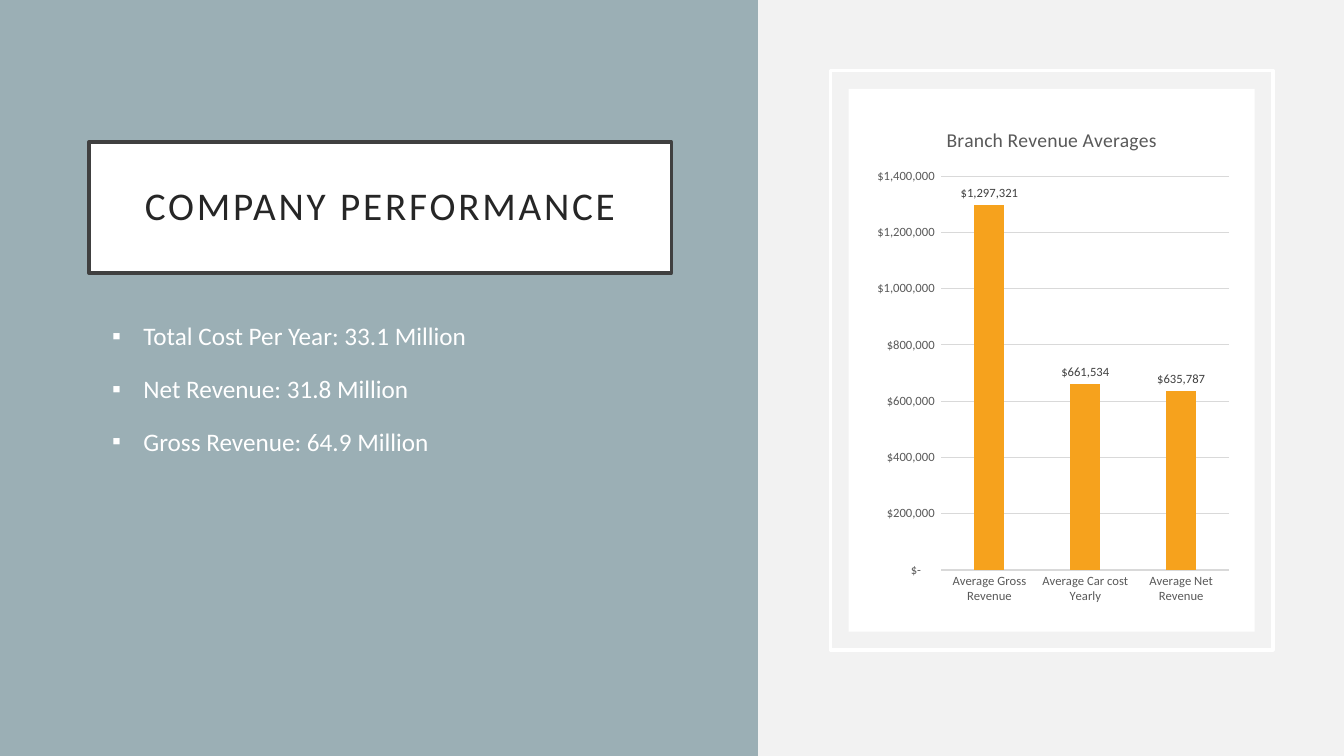
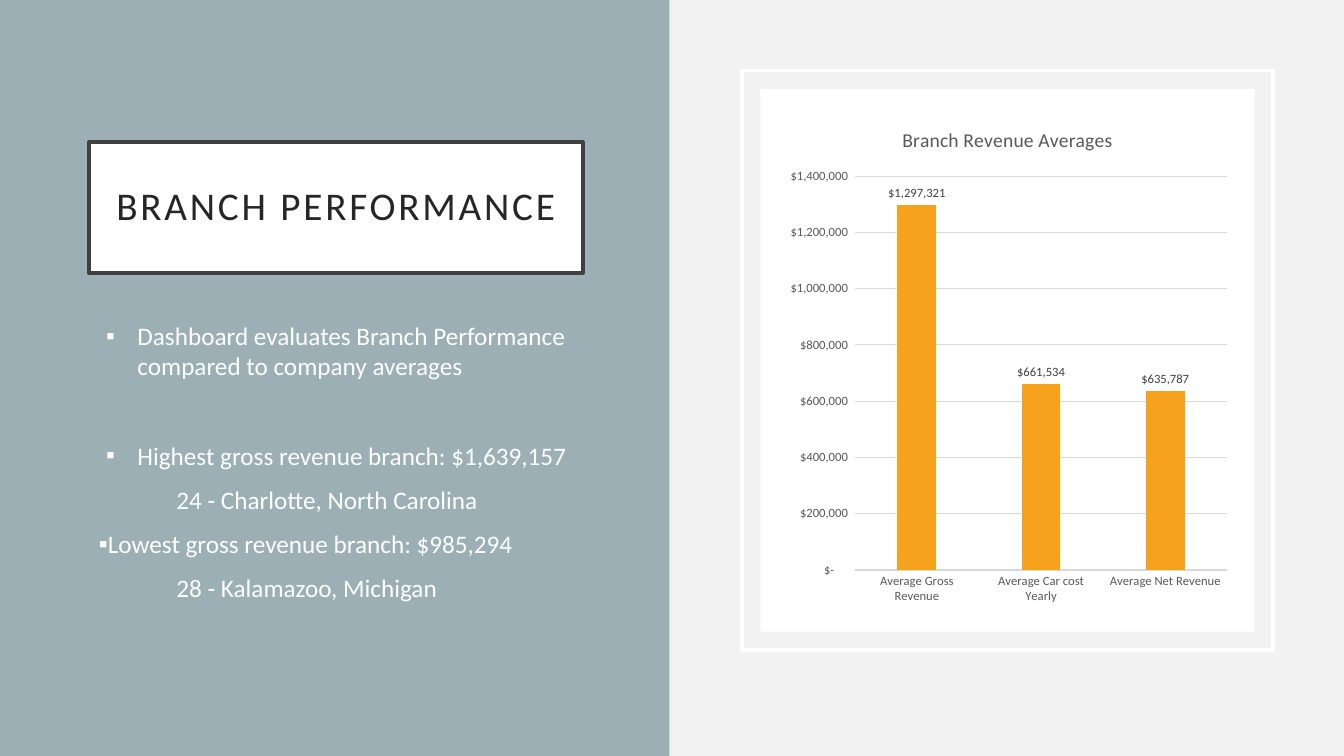
from lxml import etree
from pptx import Presentation
from pptx.chart.data import CategoryChartData
from pptx.dml.color import RGBColor
from pptx.enum.chart import XL_CHART_TYPE, XL_LABEL_POSITION, XL_TICK_MARK
from pptx.enum.shapes import MSO_SHAPE
from pptx.enum.text import MSO_ANCHOR, MSO_AUTO_SIZE, PP_ALIGN
from pptx.oxml.ns import qn
from pptx.util import Cm, Pt

COLUMNS = XL_CHART_TYPE.COLUMN_CLUSTERED
ABOVE_BAR = XL_LABEL_POSITION.OUTSIDE_END
NO_TICK = XL_TICK_MARK.NONE
RECTANGLE = MSO_SHAPE.RECTANGLE
MIDDLE, TOP = MSO_ANCHOR.MIDDLE, MSO_ANCHOR.TOP
NO_FIT = MSO_AUTO_SIZE.NONE
LEFT, CENTER = PP_ALIGN.LEFT, PP_ALIGN.CENTER

# Palette and type
PAPER = RGBColor(0xF2, 0xF2, 0xF2)
SLATE = RGBColor(0x9B, 0xAF, 0xB5)
WHITE = RGBColor(0xFF, 0xFF, 0xFF)
BORDER = RGBColor(0x40, 0x40, 0x40)
TITLE_INK = RGBColor(0x26, 0x26, 0x26)
CHART_INK = RGBColor(0x59, 0x59, 0x59)
GRID = RGBColor(0xD9, 0xD9, 0xD9)
ORANGE = RGBColor(0xF6, 0xA2, 0x1D)
FONT = "Calibri"
DOLLARS = '_("$"* #,##0_);_("$"* \\(#,##0\\);_("$"* "-"??_);_(@_)'

# Shared geometry, in centimetres
WIDTH, HEIGHT = 33.87, 19.05
MARGIN = 2.24
TITLE_GAP = 2.18
FRAME_GAP = 1.83
FRAME_RIGHT, FRAME_TOP, FRAME_HEIGHT = 32.08, 1.78, 14.6
INSET = 0.46

# List levels: left margin, first-line indent (cm), bullet
ITEM = (1.12, -0.79, "▪")
NARROW_ITEM = (0.97, -0.79, "▪")
FLUSH_ITEM = (0.15, -0.79, "▪")
DETAIL = (1.95, 0, None)


class Deck:
    def __init__(self):
        self.prs = Presentation()
        self.prs.slide_width, self.prs.slide_height = Cm(WIDTH), Cm(HEIGHT)
        backdrop = self.prs.slide_master.background.fill
        backdrop.solid()
        backdrop.fore_color.rgb = PAPER
        self.slide = None

    def new_slide(self, panel_width):
        self.slide = self.prs.slides.add_slide(self.prs.slide_layouts[1])
        self.panel_width = panel_width
        self.text_width = panel_width - MARGIN - TITLE_GAP
        panel = self.rectangle(0, 0, panel_width, HEIGHT, fill=SLATE)
        self.slide.shapes._spTree.insert(2, panel._element)  # behind the text

    def place(self, shape, left, top, width, height):
        shape.left, shape.top = Cm(left), Cm(top)
        shape.width, shape.height = Cm(width), Cm(height)

    def paint(self, shape, fill=None, line=None):
        if fill is None:
            shape.fill.background()
        else:
            shape.fill.solid()
            shape.fill.fore_color.rgb = fill
        if line is None:
            shape.line.fill.background()
        else:
            shape.line.color.rgb = line
            shape.line.width = Pt(2.5)

    def rectangle(self, left, top, width, height, fill=None, line=None):
        shape = self.slide.shapes.add_shape(
            RECTANGLE, Cm(left), Cm(top), Cm(width), Cm(height))
        shape.shadow.inherit = False
        self.paint(shape, fill, line)
        return shape

    def style(self, font, size, color):
        font.name, font.size, font.bold = FONT, Pt(size), False
        font.color.rgb = color

    def add_run(self, paragraph, text, size, color):
        run = paragraph.add_run()
        run.text = text
        self.style(run.font, size, color)
        return run

    def title(self, text):
        title = self.slide.shapes.title
        self.place(title, MARGIN, 3.58, self.text_width, 3.3)
        self.paint(title, WHITE, BORDER)
        frame = title.text_frame
        frame.auto_size, frame.vertical_anchor = NO_FIT, MIDDLE
        frame.margin_left = frame.margin_right = Cm(0.51)
        frame.margin_top = frame.margin_bottom = Cm(0.51)
        paragraph = frame.paragraphs[0]
        paragraph.alignment, paragraph.line_spacing = CENTER, 0.9
        run = self.add_run(paragraph, text, 28, TITLE_INK)
        run._r.get_or_add_rPr().set("spc", "200")

    def bullets(self, items, after=0):
        """Each item is text, level and space before in points."""
        body = self.slide.placeholders[1]
        self.place(body, MARGIN, 7.95, self.text_width, 8.46)
        frame = body.text_frame
        frame.auto_size, frame.vertical_anchor = NO_FIT, TOP
        for number, (text, level, before) in enumerate(items):
            paragraph = frame.add_paragraph() if number else frame.paragraphs[0]
            paragraph.alignment = LEFT
            paragraph.space_before, paragraph.space_after = Pt(before), Pt(after)
            margin, indent, mark = level
            props = paragraph._p.get_or_add_pPr()
            props.set("marL", str(Cm(margin)))
            props.set("indent", str(Cm(indent)))
            if mark:
                etree.SubElement(props, qn("a:buChar")).set("char", mark)
            else:
                etree.SubElement(props, qn("a:buNone"))
            self.add_run(paragraph, text, 18, WHITE)

    def framed_chart(self, title, categories, values):
        left = self.panel_width + FRAME_GAP
        frame, card, area = [
            (left + i * INSET, FRAME_TOP + i * INSET,
             FRAME_RIGHT - left - 2 * i * INSET, FRAME_HEIGHT - 2 * i * INSET)
            for i in range(3)]
        self.rectangle(*frame, line=WHITE)
        self.rectangle(*card, fill=WHITE)
        self.column_chart(area, title, categories, values)

    def column_chart(self, area, title, categories, values):
        data = CategoryChartData(number_format=DOLLARS)
        data.categories = categories
        data.add_series("Series 1", values)
        chart = self.slide.shapes.add_chart(
            COLUMNS, *[Cm(length) for length in area], data).chart
        self.style(chart.font, 10, CHART_INK)
        chart.has_legend = False
        chart.has_title = True
        self.add_run(chart.chart_title.text_frame.paragraphs[0],
                     title, 14, CHART_INK)
        chart.chart_title.include_in_layout = False

        # Axes
        for axis in (chart.category_axis, chart.value_axis):
            axis.major_tick_mark = axis.minor_tick_mark = NO_TICK
            self.style(axis.tick_labels.font, 9, CHART_INK)
        names, amounts = chart.category_axis, chart.value_axis
        amounts.minimum_scale, amounts.maximum_scale = 0, 1400000
        amounts.major_unit = 200000
        amounts.tick_labels.number_format = DOLLARS
        amounts.tick_labels.number_format_is_linked = False
        amounts.format.line.fill.background()
        for line in (names.format.line, amounts.major_gridlines.format.line):
            line.color.rgb = GRID
            line.width = Pt(0.75)

        # Columns and their labels
        plot = chart.plots[0]
        plot.gap_width, plot.overlap = 219, -27
        plot.vary_by_categories = False
        columns = plot.series[0]
        columns.format.fill.solid()
        columns.format.fill.fore_color.rgb = ORANGE
        labels = columns.data_labels
        labels.show_value, labels.position = True, ABOVE_BAR
        labels.number_format = DOLLARS
        labels.number_format_is_linked = False
        self.style(labels.font, 9, BORDER)


REVENUE = ("Branch Revenue Averages",
           ["Average Gross Revenue", "Average Car cost Yearly",
            "Average Net Revenue"],
           [1297321, 661534, 635787])

deck = Deck()

# Company performance
deck.new_slide(19.1)
deck.title("COMPANY PERFORMANCE")
deck.bullets([
    ("Total Cost Per Year: 33.1 Million", ITEM, 10),
    ("Net Revenue: 31.8 Million", ITEM, 10),
    ("Gross Revenue: 64.9 Million", ITEM, 10),
], after=6)
deck.framed_chart(*REVENUE)

# Branch performance
deck.new_slide(16.87)
deck.title("BRANCH PERFORMANCE")
deck.bullets([
    ("Dashboard evaluates Branch Performance compared to company averages",
     NARROW_ITEM, 10),
    ("Highest gross revenue branch: $1,639,157", NARROW_ITEM, 42),
    ("24 - Charlotte, North Carolina", DETAIL, 10),
    ("Lowest gross revenue branch: $985,294", FLUSH_ITEM, 10),
    ("28 - Kalamazoo, Michigan", DETAIL, 10),
])
deck.framed_chart(*REVENUE)

deck.prs.save("out.pptx")
